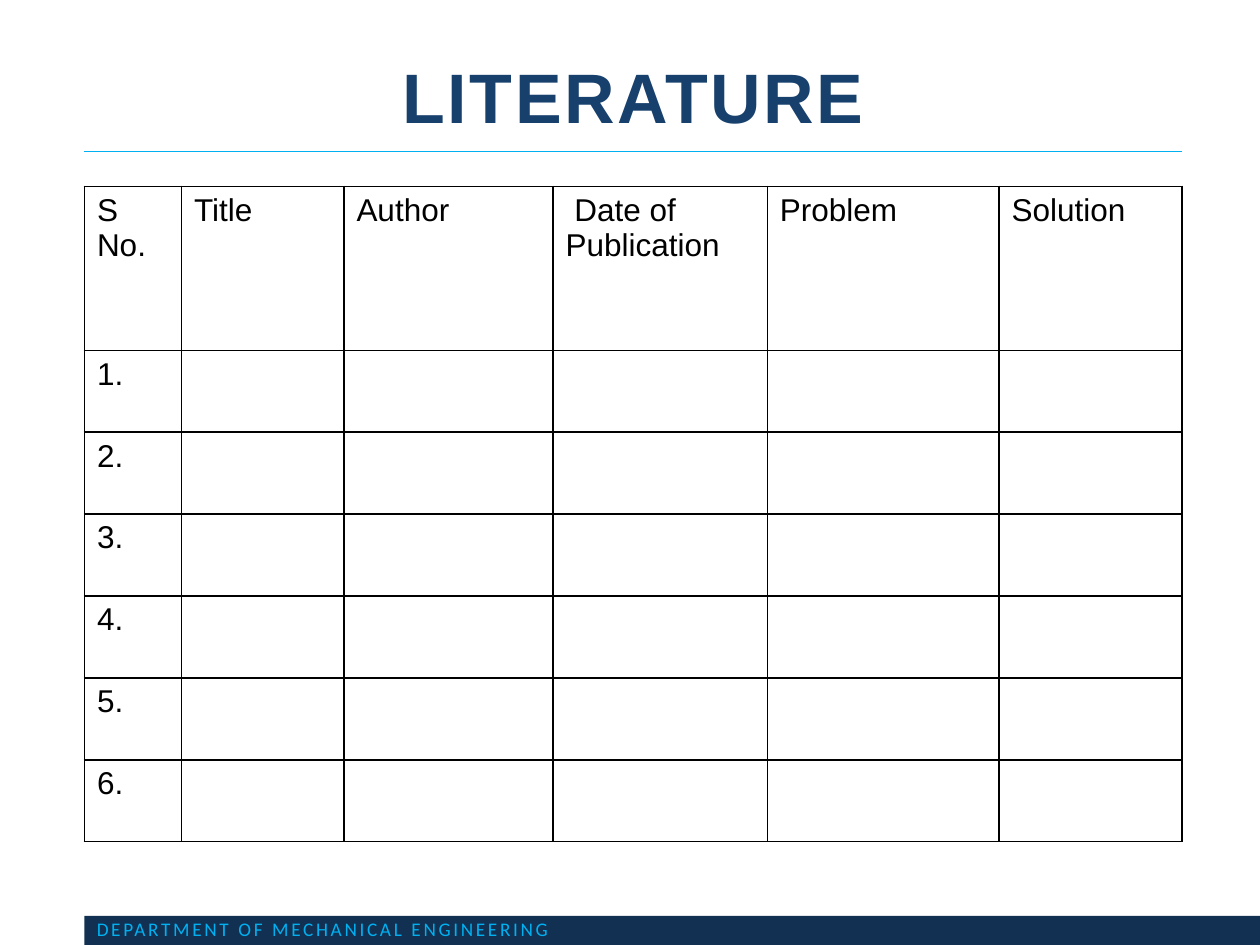
from lxml import etree
from pptx import Presentation
from pptx.dml.color import RGBColor
from pptx.enum.shapes import MSO_CONNECTOR, MSO_SHAPE
from pptx.enum.text import MSO_ANCHOR, PP_ALIGN
from pptx.oxml.ns import qn
from pptx.util import Inches, Pt

NAVY = RGBColor(0x11, 0x30, 0x52)
TITLE_BLUE = RGBColor(0x17, 0x40, 0x6D)
CYAN = RGBColor(0x00, 0xB0, 0xF0)
BLACK = RGBColor(0, 0, 0)

LEFT, CONTENT_WIDTH = 0.67, 8.71
HEADINGS = ["S No.", "Title", "Author", " Date of Publication", "Problem", "Solution"]
COLUMN_WIDTHS = [0.77, 1.29, 1.66, 1.7, 1.84, 1.45]
ENTRY_COUNT = 6
HEADER_HEIGHT, ENTRY_HEIGHT = 1.3, 0.65


def inches(*lengths):
    return [Inches(length) for length in lengths]


def style_line(para, font_name, size, color, bold=False):
    """Format a tight line of letter-spaced text."""
    para.line_spacing = 0.9
    font = para.font
    font.name, font.size, font.bold = font_name, Pt(size), bold
    font.color.rgb = color
    for span in para.runs:
        span.font._element.set("spc", "150")


def add_footer(page, box):
    bar = page.shapes.add_shape(MSO_SHAPE.RECTANGLE, *inches(*box))
    bar.shadow.inherit = False
    bar.fill.solid()
    bar.fill.fore_color.rgb = NAVY
    bar.line.fill.background()
    frame = bar.text_frame
    frame.vertical_anchor = MSO_ANCHOR.MIDDLE
    frame.text = "DEPARTMENT OF MECHANICAL ENGINEERING"
    para = frame.paragraphs[0]
    para.alignment = PP_ALIGN.LEFT
    style_line(para, "Calibri", 11, CYAN)


def add_rule(page, left, top, width):
    rule = page.shapes.add_connector(
        MSO_CONNECTOR.STRAIGHT, *inches(left, top, left + width, top))
    rule.line.color.rgb = CYAN
    rule.line.width = Pt(0.25)
    etree.SubElement(rule._element.spPr, qn("a:effectLst"))


def place_title(page, box):
    title = page.shapes.title
    title.left, title.top, title.width, title.height = inches(*box)
    frame = title.text_frame
    frame.vertical_anchor = MSO_ANCHOR.MIDDLE
    frame.text = "LITERATURE"
    para = frame.paragraphs[0]
    para.alignment = PP_ALIGN.CENTER
    style_line(para, "Arial", 40, TITLE_BLUE, bold=True)


def set_borders(cell):
    properties = cell._tc.get_or_add_tcPr()
    for side in ("lnL", "lnR", "lnT", "lnB"):
        border = etree.SubElement(properties, qn(f"a:{side}"), w=str(Pt(1)))
        fill = etree.SubElement(border, qn("a:solidFill"))
        etree.SubElement(fill, qn("a:srgbClr"), val=str(BLACK))


def add_literature_table(page, box):
    rows = [HEADINGS]
    for number in range(1, ENTRY_COUNT + 1):
        rows.append([f"{number}."] + [""] * (len(HEADINGS) - 1))
    table = page.shapes.add_table(len(rows), len(HEADINGS), *inches(*box)).table
    table.first_row = table.horz_banding = False
    for column, width in zip(table.columns, COLUMN_WIDTHS):
        column.width = Inches(width)
    for index, (row, texts) in enumerate(zip(table.rows, rows)):
        row.height = Inches(ENTRY_HEIGHT if index else HEADER_HEIGHT)
        for cell, text in zip(row.cells, texts):
            set_borders(cell)
            cell.fill.background()
            cell.text = text
            font = cell.text_frame.paragraphs[0].font
            font.name, font.size = "Arial", Pt(18)
            font.color.rgb = BLACK


def main():
    deck = Presentation()
    deck.slide_width, deck.slide_height = inches(10, 7.5)
    page = deck.slides.add_slide(deck.slide_layouts.get_by_name("Title Only"))
    add_footer(page, (LEFT, 7.27, 10 - LEFT, 0.23))
    add_rule(page, LEFT, 1.2, CONTENT_WIDTH)
    place_title(page, (LEFT, 0.42, CONTENT_WIDTH, 0.76))
    table_height = HEADER_HEIGHT + ENTRY_COUNT * ENTRY_HEIGHT
    add_literature_table(page, (LEFT, 1.48, CONTENT_WIDTH, table_height))
    deck.save("out.pptx")


if __name__ == "__main__":
    main()
